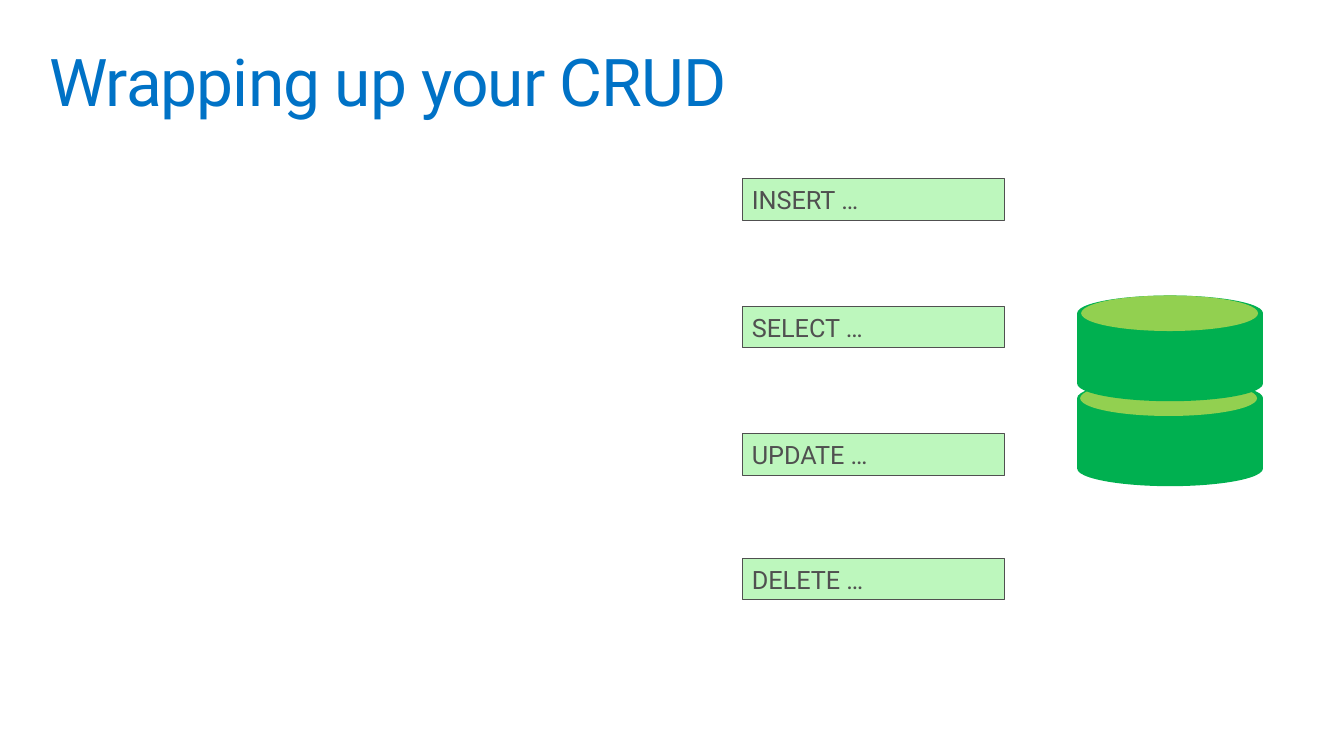
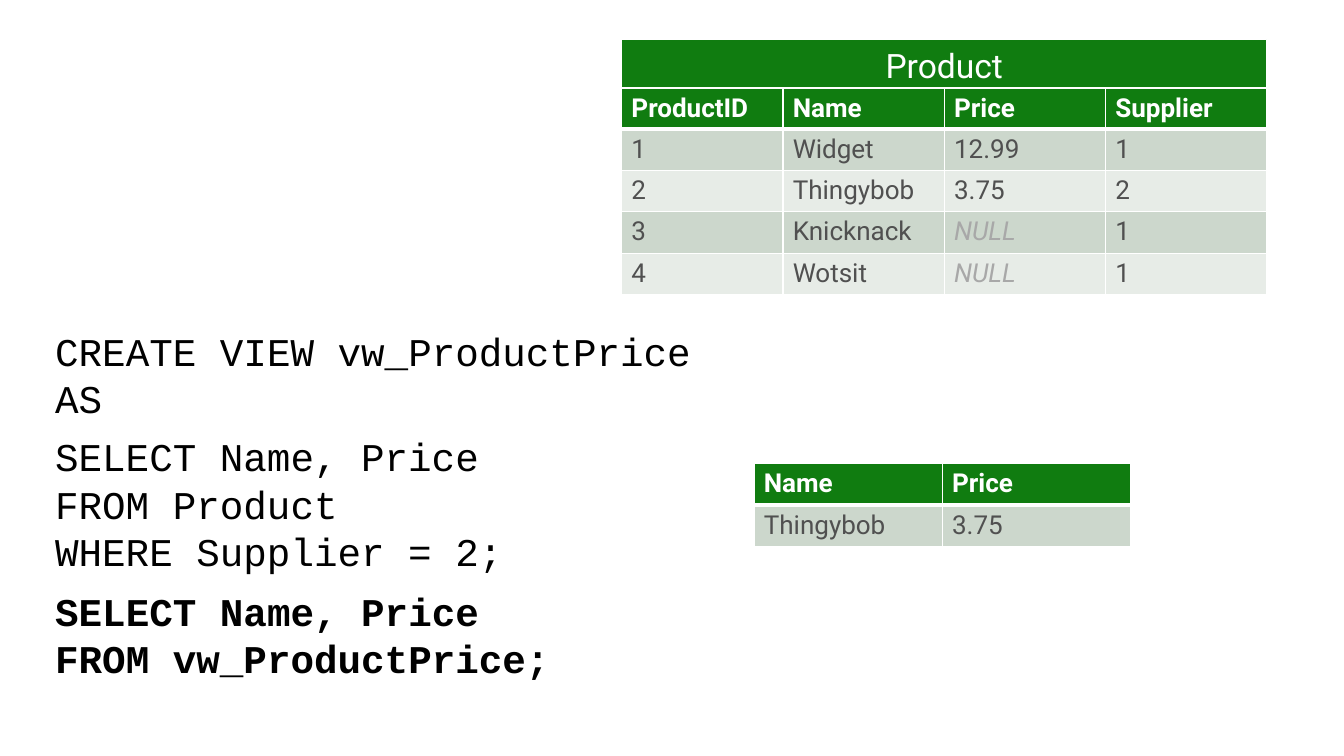
"""Build two slides about wrapping CRUD statements in database views."""
from lxml import etree
from pptx import Presentation, util as u
from pptx.dml.color import RGBColor
from pptx.enum import shapes, text
from pptx.oxml import ns

COLOURS = {
    "title": "0072C6", "ink": "505050", "code": "000000", "white": "FFFFFF",
    "null": "A8A8A8", "statement": "BDF7BD", "disk": "00B050", "lid": "92D050",
    "header": "107C10", "odd": "CCD7CC", "even": "E7ECE7",
}
SANS, MONO = "Roboto", "Courier New"
WIDTH, HEIGHT = 13.6, 7.65

TITLE = "Wrapping up your CRUD"
STATEMENTS = [("INSERT …", 1.81), ("SELECT …", 3.1), ("UPDATE …", 4.39), ("DELETE …", 5.65)]
STATEMENT_LEFT, STATEMENT_SIZE = 7.51, (2.66, 0.42)
DISK_LEFT, DISK_SIZE, LID_SIZE = 10.9, (1.88, 1.07), (1.79, 0.36)
DISKS = [(3.85, 0.03), (2.99, 0.04)]

PRODUCTS = [
    ("ProductID", "Name", "Price", "Supplier"),
    ("1", "Widget", "12.99", "1"),
    ("2", "Thingybob", "3.75", "2"),
    ("3", "Knicknack", "NULL", "1"),
    ("4", "Wotsit", "NULL", "1"),
]
VIEW_ROWS = [("Name", "Price"), ("Thingybob", "3.75")]
TABLES = [(PRODUCTS, (6.29, 0.89, 6.53, 2.09)), (VIEW_ROWS, (7.63, 4.69, 3.81, 0.84))]
CODE_LEFT = 0.46
CODE_BLOCKS = [
    (("SELECT Name, Price", "FROM Product", "WHERE Supplier = 2;"), (4.33, 4.86, 1.57), False),
    (("CREATE VIEW vw_ProductPrice", "AS"), (3.26, 6.69, 1.06), False),
    (("SELECT Name, Price", "FROM vw_ProductPrice;"), (5.89, 5.25, 1.06), True),
]


def inches(*lengths):
    return [u.Inches(length) for length in lengths]


def colour(name):
    return RGBColor.from_string(COLOURS[name])


def add_run(paragraph, words, size, ink, font=SANS, bold=False, italic=False):
    run = paragraph.add_run()
    run.text = words
    run.font.name, run.font.size = font, u.Pt(size)
    run.font.bold, run.font.italic = bold, italic
    run.font.color.rgb = colour(ink)
    return run


def add_block(parent, kind, box, fill, line=None):
    shape = parent.shapes.add_shape(kind, *inches(*box))
    shape.shadow.inherit = False
    shape.fill.solid()
    shape.fill.fore_color.rgb = colour(fill)
    if line:
        shape.line.color.rgb = colour(line)
        shape.line.width = u.Pt(0.75)
    else:
        shape.line.fill.background()
    return shape


def add_label(slide, box, words, size, ink, fill, line, align=text.PP_ALIGN.LEFT):
    frame = add_block(slide, shapes.MSO_SHAPE.RECTANGLE, box, fill, line).text_frame
    frame.vertical_anchor = text.MSO_ANCHOR.MIDDLE
    frame.paragraphs[0].alignment = align
    add_run(frame.paragraphs[0], words, size, ink)


def add_title(slide, words):
    frame = slide.shapes.add_textbox(*inches(0.4, 0.4, WIDTH - 0.8, 1)).text_frame
    frame.word_wrap = True
    frame.margin_top = frame.margin_bottom = u.Inches(0.1)
    paragraph = frame.paragraphs[0]
    paragraph.line_spacing = 0.9
    run = add_run(paragraph, words, 48, "title")
    run.font._element.set("spc", "-70")


def add_code(slide, lines, box, bold):
    frame = slide.shapes.add_textbox(*inches(CODE_LEFT, *box)).text_frame
    frame.word_wrap = False
    for index, line in enumerate(lines):
        paragraph = frame.add_paragraph() if index else frame.paragraphs[0]
        add_run(paragraph, line, 28.6, "code", MONO, bold)


def set_borders(cell, widths):
    properties = cell._tc.get_or_add_tcPr()
    for side, points in zip("LRTB", widths):
        border = etree.SubElement(properties, ns.qn(f"a:ln{side}"), w=str(u.Pt(points)))
        fill = etree.SubElement(border, ns.qn("a:solidFill"))
        etree.SubElement(fill, ns.qn("a:srgbClr"), val=COLOURS["white"])


def add_grid(slide, rows, box):
    width, height = box[2:]
    table = slide.shapes.add_table(len(rows), len(rows[0]), *inches(*box)).table
    table.first_row = table.horz_banding = False
    for column in table.columns:
        column.width = u.Inches(width / len(rows[0]))
    for index, values in enumerate(rows):
        table.rows[index].height = u.Inches(height / len(rows))
        header = index == 0
        fill = "header" if header else "odd" if index % 2 else "even"
        for position, value in enumerate(values):
            cell = table.cell(index, position)
            set_borders(cell, (1, 1, 3 if index == 1 else 1, 3 if header else 1))
            cell.fill.solid()
            cell.fill.fore_color.rgb = colour(fill)
            missing = value == "NULL"
            ink = "white" if header else "null" if missing else "ink"
            add_run(cell.text_frame.paragraphs[0], value, 19, ink, bold=header, italic=missing)


def build_crud_slide(slide):
    add_title(slide, TITLE)
    database = slide.shapes.add_group_shape()
    for top, inset in DISKS:
        add_block(database, shapes.MSO_SHAPE.FLOWCHART_MAGNETIC_DISK,
                  (DISK_LEFT, top, *DISK_SIZE), "disk")
        add_block(database, shapes.MSO_SHAPE.OVAL, (DISK_LEFT + inset, top, *LID_SIZE), "lid")
    for words, top in STATEMENTS:
        add_label(slide, (STATEMENT_LEFT, top, *STATEMENT_SIZE), words, 18.4,
                  "ink", "statement", "ink")


def build_view_slide(slide):
    add_label(slide, (6.29, 0.4, 6.53, 0.51), "Product", 24.5, "white", "header", "white",
              text.PP_ALIGN.CENTER)
    for rows, box in TABLES:
        add_grid(slide, rows, box)
    for lines, box, bold in CODE_BLOCKS:
        add_code(slide, lines, box, bold)


def main():
    presentation = Presentation()
    presentation.slide_width, presentation.slide_height = inches(WIDTH, HEIGHT)
    for build in (build_crud_slide, build_view_slide):
        build(presentation.slides.add_slide(presentation.slide_layouts[6]))
    presentation.save("out.pptx")


if __name__ == "__main__":
    main()
